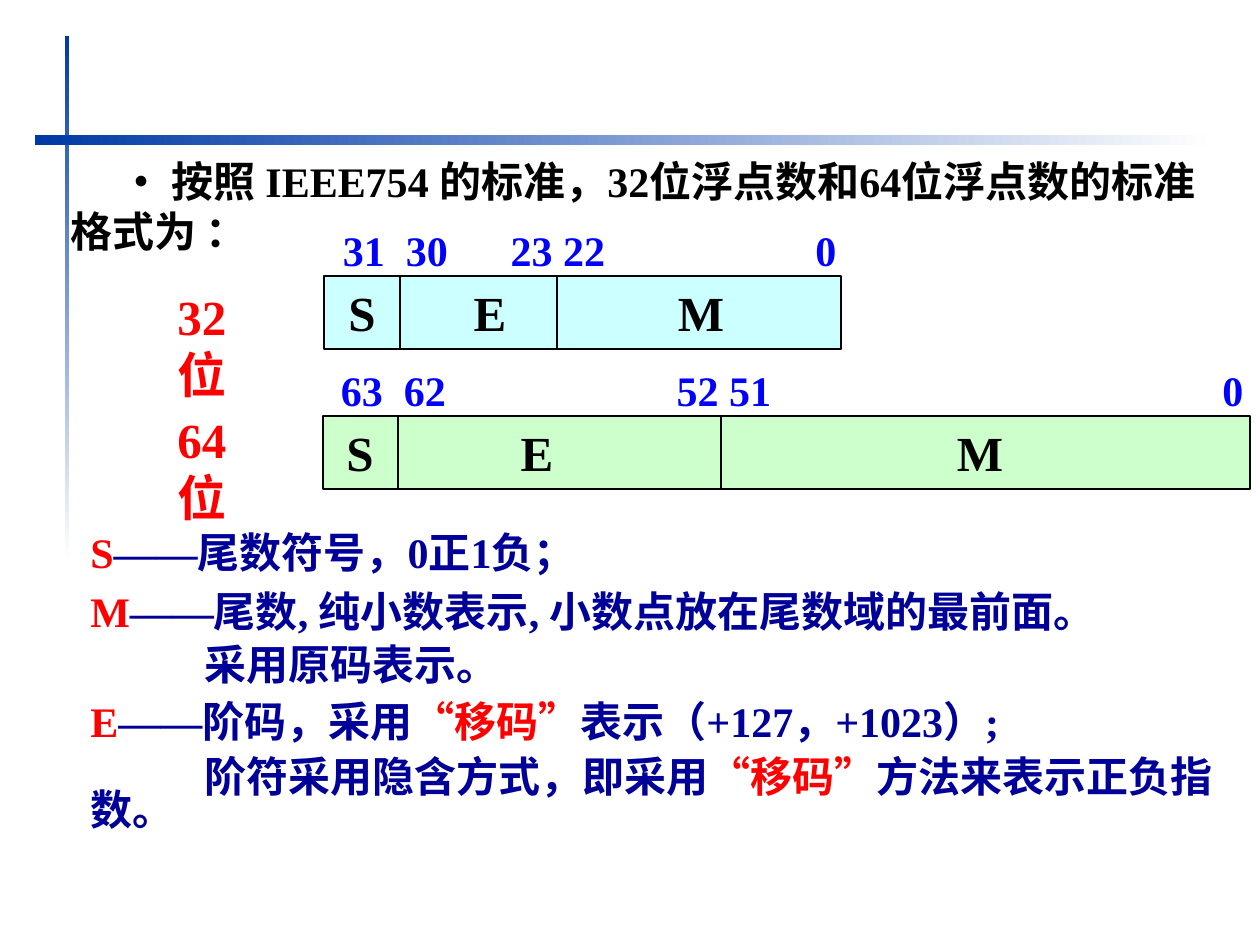
from lxml.etree import SubElement
from pptx import Presentation
from pptx.dml.color import RGBColor
from pptx.enum.shapes import MSO_CONNECTOR, MSO_SHAPE
from pptx.enum.text import PP_ALIGN
from pptx.oxml.ns import qn
from pptx.util import Emu, Pt

PX = 914400 // 126
FONT = "Times New Roman"
BLACK = RGBColor(0x00, 0x00, 0x00)
WHITE = RGBColor(0xFF, 0xFF, 0xFF)
RED = RGBColor(0xFF, 0x00, 0x00)
BLUE = RGBColor(0x00, 0x00, 0xFF)
NAVY = RGBColor(0x00, 0x00, 0x99)
RULE_BLUE = RGBColor(0x00, 0x39, 0xA6)
CYAN = RGBColor(0xCC, 0xFF, 0xFF)
GREEN = RGBColor(0xCC, 0xFF, 0xCC)

# box, gradient angle
RULES = [((65, 36, 4, 525), 270), ((35, 135, 1180, 10), 0)]

INTRO = "• 按照 IEEE754 的标准，32位浮点数和64位浮点数的标准格式为 ："

# Fields and bit numbers carry the offset of their centre from the left edge
FORMATS = [
    dict(name="32位", name_top=280, left=324, top=276, width=517, fill=CYAN,
         dividers=(76, 233),
         fields=[("S", 38), ("E", 166), ("M", 377)],
         bits=[("31", 40), ("30", 103), ("23 22", 234), ("0", 502)]),
    dict(name="64位", name_top=403, left=323, top=416, width=927, fill=GREEN,
         dividers=(75, 398),
         fields=[("S", 37), ("E", 214), ("M", 657)],
         bits=[("63", 39), ("62", 102), ("52 51", 401), ("0", 910)]),
]
FIELD_HEIGHT = 73

# line spacing, first-line indent, runs
NOTES = [
    (1, 0, [("S", RED), ("——尾数符号，0正1负；", NAVY)]),
    (0.75, 0, [("M", RED),
               ("——尾数, 纯小数表示, 小数点放在尾数域的最前面。", NAVY)]),
    (0.6, 114, [("采用原码表示。", NAVY)]),
    (0.75, 0, [("E", RED), ("——阶码，采用", NAVY), ("“移码”", RED),
               ("表示（+127，+1023）;", NAVY)]),
    (0.65, 114, [("阶符采用隐含方式，即采用", NAVY), ("“移码”", RED),
                 ("方法来表示正负指数。", NAVY)]),
]


def px(*lengths):
    return [Emu(n * PX) for n in lengths]


def add_box(s, box):
    tf = s.shapes.add_textbox(*px(*box)).text_frame
    tf.word_wrap = True
    return tf


def write(p, runs, size, indent=0):
    pPr = p._p.get_or_add_pPr()
    pPr.set("marL", "0")
    pPr.set("indent", str(indent * PX))
    for text, color in runs:
        r = p.add_run()
        r.text = text
        r.font.name = FONT
        r.font.size = Pt(size)
        r.font.bold = True
        r.font.color.rgb = color


def add_label(s, text, center, top, color, size):
    """Place a one-line label centred on a horizontal position."""
    width = 26 * len(text) + 24
    tf = add_box(s, (center - width // 2, top, width, 63))
    tf.margin_left = tf.margin_right = 0
    p = tf.paragraphs[0]
    write(p, [(text, color)], size)
    p.alignment = PP_ALIGN.CENTER


def add_rule(s, box, angle):
    sp = s.shapes.add_shape(MSO_SHAPE.RECTANGLE, *px(*box))
    sp.shadow.inherit = False
    sp.line.fill.background()
    sp.fill.gradient()
    sp.fill.gradient_angle = angle
    for stop, color in zip(sp.fill.gradient_stops, (RULE_BLUE, WHITE)):
        stop.color.rgb = color


def add_format(s, fmt):
    """Draw one floating-point layout with its name and bit numbers."""
    left, top, width = fmt["left"], fmt["top"], fmt["width"]
    sp = s.shapes.add_shape(MSO_SHAPE.RECTANGLE,
                            *px(left, top, width, FIELD_HEIGHT))
    sp.shadow.inherit = False
    sp.fill.solid()
    sp.fill.fore_color.rgb = fmt["fill"]
    sp.line.color.rgb = BLACK
    sp.line.width = Pt(0.75)

    for offset in fmt["dividers"]:
        x = left + offset
        line = s.shapes.add_connector(MSO_CONNECTOR.STRAIGHT,
                                      *px(x, top, x, top + FIELD_HEIGHT))
        line.line.color.rgb = BLACK
        line.line.width = Pt(0.75)
        SubElement(line._element.spPr, qn("a:effectLst"))

    for text, offset in fmt["fields"]:
        add_label(s, text, left + offset, top, BLACK, 28)
    for text, offset in fmt["bits"]:
        add_label(s, text, left + offset, top - 58, BLUE, 24)

    tf = add_box(s, (165, fmt["name_top"], 115, 130))
    write(tf.paragraphs[0], [(fmt["name"], RED)], 28)


def main():
    prs = Presentation()
    prs.slide_width, prs.slide_height = px(1260, 945)
    s = prs.slides.add_slide(prs.slide_layouts[6])

    for box, angle in RULES:
        add_rule(s, box, angle)

    tf = add_box(s, (78, 520, 1187, 340))
    for i, (spacing, indent, runs) in enumerate(NOTES):
        p = tf.add_paragraph() if i else tf.paragraphs[0]
        write(p, runs, 24, indent)
        p.line_spacing = spacing
        p.space_before = Pt(12 if i else 0)

    tf = add_box(s, (58, 149, 1179, 113))
    write(tf.paragraphs[0], [(INTRO, BLACK)], 24, indent=50)

    for fmt in FORMATS:
        add_format(s, fmt)
    prs.save("out.pptx")


if __name__ == "__main__":
    main()
